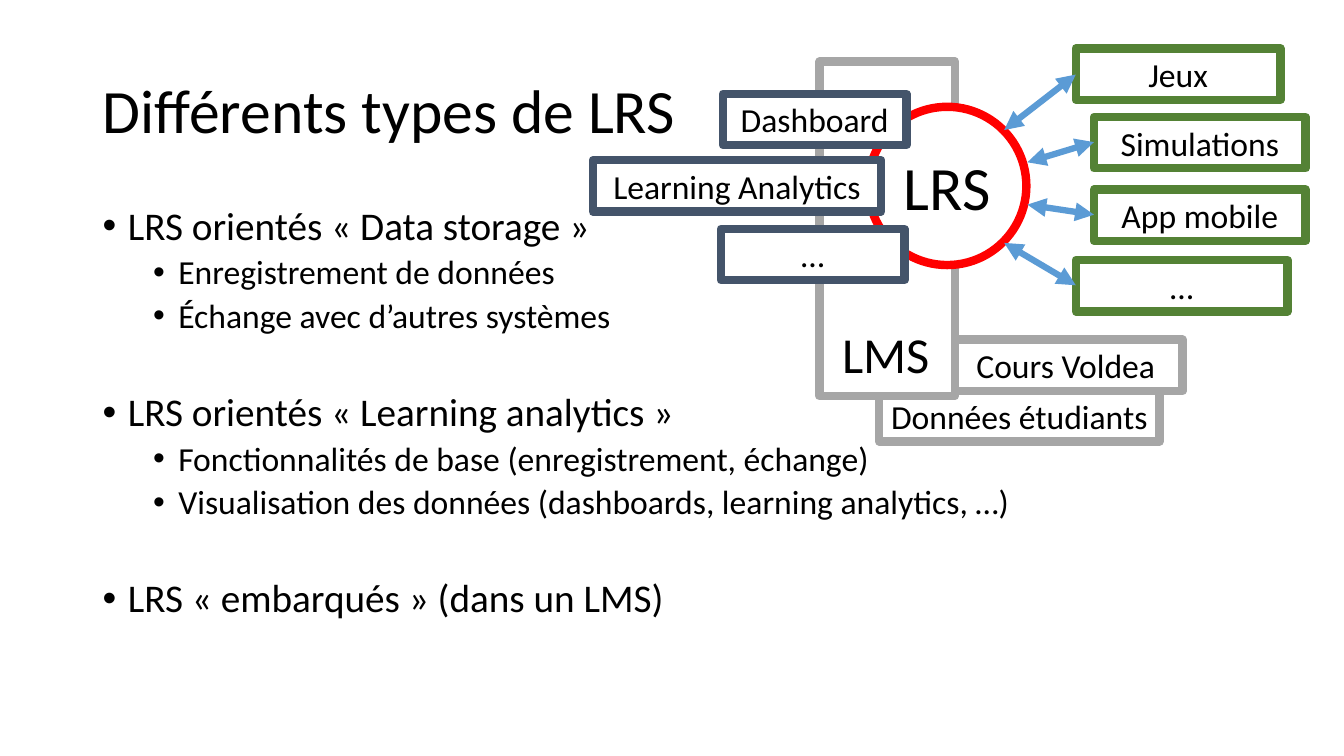
from dataclasses import dataclass

from lxml.etree import SubElement
from pptx import Presentation
from pptx.dml.color import RGBColor
from pptx.enum.shapes import MSO_CONNECTOR as Connector, MSO_SHAPE as Shape
from pptx.enum.text import MSO_ANCHOR as Anchor, MSO_AUTO_SIZE as AutoSize, PP_ALIGN as Align
from pptx.oxml.ns import qn
from pptx.util import Emu, Pt

EMU_PER_PX = 9144
FONT = "Calibri"
BOX_HEIGHT = 51
COLORS = {
    "text": "000000",
    "white": "FFFFFF",
    "lms": "A6A6A6",
    "lrs": "FF0000",
    "source": "548235",
    "analysis": "44546A",
    "arrow": "5B9BD5",
}


@dataclass(frozen=True)
class Box:
    text: str
    color: str
    left: int
    top: int
    width: int
    height: int = BOX_HEIGHT
    kind: Shape = Shape.RECTANGLE
    size: int = 24


@dataclass(frozen=True)
class Arrow:
    start: tuple[int, int]
    end: tuple[int, int]


@dataclass(frozen=True)
class Topic:
    heading: str
    details: tuple[str, ...] = ()


LMS_BOXES = (
    Box("Données étudiants", "lms", 872, 387, 278),
    Box("Cours Voldea", "lms", 941, 337, 232),
    Box("", "lms", 813, 61, 134, 332),
)
LRS_CIRCLE = Box("LRS", "lrs", 861, 106, 157, 157, Shape.OVAL, 44)
SOURCE_BOXES = (
    Box("Jeux", "source", 1067, 48, 203),
    Box("Simulations", "source", 1085, 116, 210),
    Box("App mobile", "source", 1085, 188, 210),
    Box("…", "source", 1067, 258, 210),
)
ARROWS = (
    Arrow((996, 129), (1067, 74)),
    Arrow((1019, 161), (1085, 141)),
    Arrow((1019, 203), (1085, 213)),
    Arrow((996, 241), (1067, 283)),
)
ANALYSIS_BOXES = (
    Box("Dashboard", "analysis", 717, 93, 182),
    Box("Learning Analytics", "analysis", 588, 159, 286),
    Box("…", "analysis", 715, 227, 182),
)
TOPICS = (
    Topic("LRS orientés « Data storage »",
          ("Enregistrement de données", "Échange avec d’autres systèmes")),
    Topic("LRS orientés « Learning analytics »",
          ("Fonctionnalités de base (enregistrement, échange)",
           "Visualisation des données (dashboards, learning analytics, …)")),
    Topic("LRS « embarqués » (dans un LMS)"),
)


def px(value: int) -> Emu:
    return Emu(value * EMU_PER_PX)


def rgb(name: str) -> RGBColor:
    return RGBColor.from_string(COLORS[name])


def add_run(paragraph, text: str, size: int) -> None:
    run = paragraph.add_run()
    run.text = text
    run.font.name = FONT
    run.font.size = Pt(size)
    run.font.color.rgb = rgb("text")


def add_box(slide, box: Box) -> None:
    shape = slide.shapes.add_shape(
        box.kind, px(box.left), px(box.top), px(box.width), px(box.height))
    shape.shadow.inherit = False
    shape.fill.solid()
    shape.fill.fore_color.rgb = rgb("white")
    shape.line.color.rgb = rgb(box.color)
    shape.line.width = Pt(6)
    if box.text:
        frame = shape.text_frame
        frame.margin_left = frame.margin_right = 0
        frame.vertical_anchor = Anchor.MIDDLE
        frame.paragraphs[0].alignment = Align.CENTER
        add_run(frame.paragraphs[0], box.text, box.size)


def add_arrow(slide, arrow: Arrow) -> None:
    connector = slide.shapes.add_connector(
        Connector.STRAIGHT, *map(px, arrow.start + arrow.end))
    connector.line.color.rgb = rgb("arrow")
    connector.line.width = Pt(4.5)
    line = connector.line._get_or_add_ln()
    for tag in ("a:headEnd", "a:tailEnd"):
        SubElement(line, qn(tag), type="triangle")
    SubElement(connector._element.spPr, qn("a:effectLst"))


def add_bullet(paragraph, text: str, level: int, space: int) -> None:
    paragraph.level = level
    properties = paragraph._p.get_or_add_pPr()
    properties.set("marL", str(px(25 + 50 * level)))
    properties.set("indent", str(px(-25)))
    SubElement(properties, qn("a:buFont"), typeface="Arial")
    SubElement(properties, qn("a:buChar"), char="•")
    paragraph.line_spacing = 0.9
    paragraph.space_before = Pt(space)
    add_run(paragraph, text, 24 if level else 28)


def add_topics(slide, topics: tuple[Topic, ...]) -> None:
    frame = slide.shapes.add_textbox(px(92), px(200), px(1150), px(476)).text_frame
    frame.word_wrap = True
    for index, topic in enumerate(topics):
        heading = frame.add_paragraph() if index else frame.paragraphs[0]
        add_bullet(heading, topic.heading, 0, 41 if index else 0)
        for detail in topic.details:
            add_bullet(frame.add_paragraph(), detail, 1, 5)


def set_title(slide, text: str) -> None:
    title = slide.shapes.title
    title.left, title.top, title.width, title.height = map(px, (92, 40, 1150, 145))
    title.text_frame.vertical_anchor = Anchor.MIDDLE
    paragraph = title.text_frame.paragraphs[0]
    paragraph.alignment = Align.LEFT
    paragraph.line_spacing = 0.9
    add_run(paragraph, text, 44)


def add_lms_label(slide) -> None:
    frame = slide.shapes.add_textbox(px(826), px(316), px(108), px(71)).text_frame
    frame.word_wrap = False
    frame.auto_size = AutoSize.SHAPE_TO_FIT_TEXT
    add_run(frame.paragraphs[0], "LMS", 36)


def main() -> None:
    presentation = Presentation()
    presentation.slide_width, presentation.slide_height = px(1333), px(750)
    slide = presentation.slides.add_slide(presentation.slide_layouts[5])
    set_title(slide, "Différents types de LRS")
    for box in LMS_BOXES:
        add_box(slide, box)
    add_topics(slide, TOPICS)
    for box in (LRS_CIRCLE, *SOURCE_BOXES):
        add_box(slide, box)
    for arrow in ARROWS:
        add_arrow(slide, arrow)
    for box in ANALYSIS_BOXES:
        add_box(slide, box)
    add_lms_label(slide)
    presentation.save("out.pptx")


if __name__ == "__main__":
    main()
